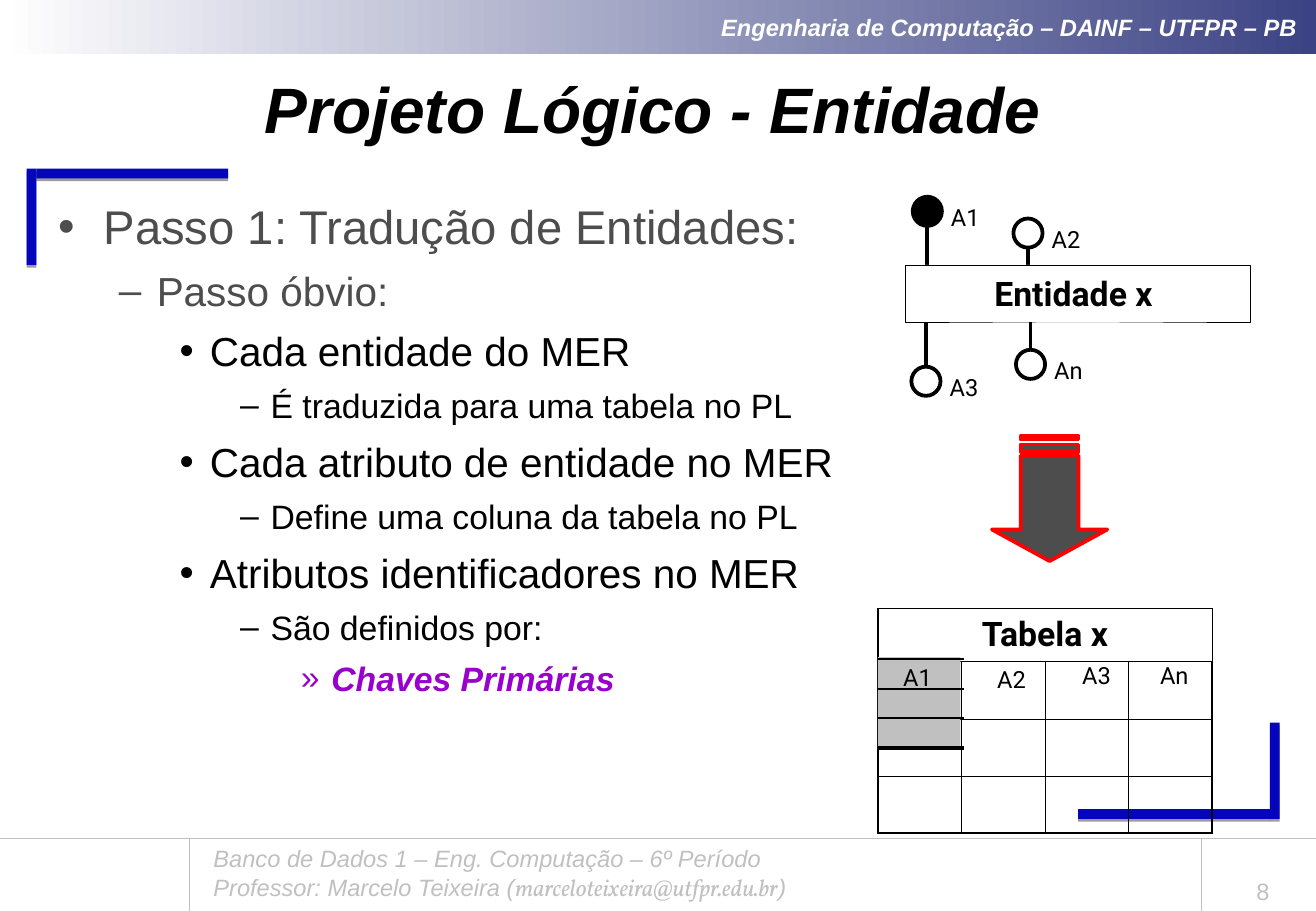
from lxml import etree
from pptx import Presentation
from pptx.dml.color import RGBColor
from pptx.enum import shapes, text
from pptx.oxml import ns
from pptx.util import Pt

SLIDE_WIDTH, SLIDE_HEIGHT = 780.48, 540
BLUE, LIGHT_GRAY, DARK_GRAY, PURPLE = "0505BB", "C0C0C0", "4D4D4D", "9900CC"
BLACK, WHITE, RED = "000000", "FFFFFF", "FF0000"
LEFT, CENTER, RIGHT = text.PP_ALIGN.LEFT, text.PP_ALIGN.CENTER, text.PP_ALIGN.RIGHT
TOP, MIDDLE, BOTTOM = text.MSO_ANCHOR.TOP, text.MSO_ANCHOR.MIDDLE, text.MSO_ANCHOR.BOTTOM
RECTANGLE, OVAL = shapes.MSO_SHAPE.RECTANGLE, shapes.MSO_SHAPE.OVAL

# level: (indent, hanging, bullet, size, space before)
OUTLINE_LEVELS = [
    (27, 27, "•", 28, 0),
    (58.5, 22.5, "–", 24, 7),
    (90, 18, "•", 24, 7),
    (126, 18, "–", 20, 6),
    (162, 18, "»", 20, 6),
]
OUTLINE = [
    (0, "Passo 1: Tradução de Entidades:", DARK_GRAY),
    (1, "Passo óbvio:", DARK_GRAY),
    (2, "Cada entidade do MER", BLACK),
    (3, "É traduzida para uma tabela no PL", BLACK),
    (2, "Cada atributo de entidade no MER", BLACK),
    (3, "Define uma coluna da tabela no PL", BLACK),
    (2, "Atributos identificadores no MER", BLACK),
    (3, "São definidos por:", BLACK),
    (4, "Chaves Primárias", PURPLE),
]


def rgb(color):
    return RGBColor.from_string(color)


def add_element(parent, tag, **attributes):
    return etree.SubElement(parent, ns.qn(tag), {k: str(v) for k, v in attributes.items()})


def write(paragraph, words, size=14, font="Arial", color=BLACK, bold=False, italic=False):
    run = paragraph.add_run()
    run.text = words
    run.font.size, run.font.name = Pt(size), font
    run.font.bold, run.font.italic = bold, italic
    run.font.color.rgb = rgb(color)


def set_frame(frame, inset=(7.2, 3.6, 7.2, 3.6), anchor=TOP, align=LEFT, wrap=True):
    """Prepare a text frame and return its first paragraph."""
    frame.word_wrap, frame.vertical_anchor = wrap, anchor
    (frame.margin_left, frame.margin_top,
     frame.margin_right, frame.margin_bottom) = (Pt(side) for side in inset)
    frame.paragraphs[0].alignment = align
    return frame.paragraphs[0]


def add_box(slide, left, top, width, height):
    return slide.shapes.add_textbox(Pt(left), Pt(top), Pt(width), Pt(height)).text_frame


def style(shape, fill, line=None, line_width=2.25):
    shape.shadow.inherit = False
    shape.fill.solid()
    shape.fill.fore_color.rgb = rgb(fill)
    if line:
        shape.line.color.rgb = rgb(line)
        shape.line.width = Pt(line_width)
    else:
        shape.line.fill.background()
    return shape


def add_shape(slide, kind, left, top, width, height, fill, line=None, line_width=2.25):
    shape = slide.shapes.add_shape(kind, Pt(left), Pt(top), Pt(width), Pt(height))
    return style(shape, fill, line, line_width)


def add_line(slide, x1, y1, x2, y2, color=BLACK, width=2.25):
    line = slide.shapes.add_connector(
        shapes.MSO_CONNECTOR.STRAIGHT, Pt(x1), Pt(y1), Pt(x2), Pt(y2))
    line.line.color.rgb = rgb(color)
    line.line.width = Pt(width)
    add_element(line._element.spPr, "a:effectLst")


def add_label(slide, left, top, words):
    paragraph = set_frame(add_box(slide, left, top, 34, 22), inset=(3, 3, 3, 3), wrap=False)
    write(paragraph, words, font="Roboto")


def add_header(slide, left, top, width, height):
    band = add_shape(slide, RECTANGLE, left, top, width, height, WHITE)
    band.fill.gradient()
    band.fill.gradient_angle = 0
    for stop, color, position in zip(band.fill.gradient_stops, (WHITE, "3C4384"), (0, 1)):
        stop.color.rgb, stop.position = rgb(color), position
    paragraph = set_frame(band.text_frame, (7.2, 3.6, 11, 3.6), MIDDLE, RIGHT)
    write(paragraph, "Engenharia de Computação – DAINF – UTFPR – PB",
          color=WHITE, bold=True, italic=True)


def add_corner(slide, left, top, width, height, at_end):
    """Draw an L bracket at the top left, or at the bottom right when at_end."""
    bar = 5.8
    upright_left = left + width - bar if at_end else left
    beam_left = left if at_end else left + bar
    beam_top = top + height - bar if at_end else top
    for box in ((beam_left, beam_top, width - bar, bar), (upright_left, top, bar, height)):
        shape = add_shape(slide, RECTANGLE, *box, BLUE)
        effects = shape._element.spPr.find(ns.qn("a:effectLst"))
        shadow = add_element(effects, "a:outerShdw", blurRad=0, dist=Pt(1.6),
                             dir=5400000, algn="t", rotWithShape=0)
        add_element(add_element(shadow, "a:srgbClr", val=BLACK), "a:alpha", val=38000)


def add_footer(slide, left, top, width, height):
    for x in (left + 112.3, left + 712.8):
        add_line(slide, x, top, x, top + height, LIGHT_GRAY, 0.75)
    add_line(slide, left, top, left + width, top, LIGHT_GRAY, 0.25)
    frame = add_box(slide, left + 119.5, top, 543, 41)
    faint = dict(color=LIGHT_GRAY, italic=True)
    write(set_frame(frame), "Banco de Dados 1 – Eng. Computação – 6º Período", **faint)
    professor = frame.add_paragraph()
    write(professor, "Professor: Marcelo Teixeira (", **faint)
    write(professor, "marceloteixeira@utfpr.edu.br", font="Vollkorn", **faint)
    write(professor, ")", **faint)
    number = add_box(slide, left + 717.8, top + 15.2, 62.6, 28)
    write(set_frame(number, anchor=BOTTOM, align=CENTER), "8", color=LIGHT_GRAY)


def add_title(slide, left, top, width, height):
    paragraph = set_frame(add_box(slide, left, top, width, height), anchor=MIDDLE, align=CENTER)
    write(paragraph, "Projeto Lógico - Entidade", size=38, bold=True, italic=True)


def add_outline(slide, left, top, width, height):
    frame = add_box(slide, left, top, width, height)
    first = set_frame(frame)
    for index, (level, words, color) in enumerate(OUTLINE):
        paragraph = frame.add_paragraph() if index else first
        indent, hanging, bullet, size, space = OUTLINE_LEVELS[level]
        properties = paragraph._p.get_or_add_pPr()
        properties.set("marL", str(Pt(indent)))
        properties.set("indent", str(-Pt(hanging)))
        add_element(add_element(properties, "a:buClr"), "a:srgbClr", val=color)
        add_element(properties, "a:buFont", typeface="Arial")
        add_element(properties, "a:buChar", char=bullet)
        paragraph.level = level
        paragraph.space_before = Pt(space)
        key = color == PURPLE
        write(paragraph, words, size=size, color=color, bold=key, italic=key)


def add_entity(slide, left, top, width, height):
    """Draw the entity with its attributes; the filled one is the identifier."""
    diameter = 17.3
    attributes = [("A1", 13, -31.7, BLACK), ("A2", 72.7, -18.8, WHITE),
                  ("A3", 12.2, 69, WHITE), ("An", 74.2, 59, WHITE)]
    for name, dx, dy, fill in attributes:
        x, y = left + dx, top + dy
        add_line(slide, x, y, x, top if dy < 0 else top + height)
        add_shape(slide, OVAL, x - diameter / 2, y - diameter / 2, diameter, diameter,
                  fill, BLACK)
        add_label(slide, x + 11, y - 8, name)
    entity = add_shape(slide, RECTANGLE, left, top, width, height, WHITE, BLACK, 0.25)
    paragraph = set_frame(entity.text_frame, (3, 3, 8, 3), MIDDLE, CENTER, wrap=False)
    write(paragraph, "Entidade x", size=20, font="Roboto", bold=True)


def add_striped_arrow(slide, left, top, width, height):
    middle, right, bottom = left + width / 2, left + width, top + height
    inner_left, inner_right = left + width / 4, right - width / 4
    neck = bottom - 18.7

    def bar(start, end):
        return [(inner_left, start), (inner_right, start), (inner_right, end), (inner_left, end)]

    head = [(inner_left, top + 11.5), (inner_right, top + 11.5), (inner_right, neck),
            (right, neck), (middle, bottom), (left, neck), (inner_left, neck)]
    contours = [[(Pt(x), Pt(y)) for x, y in contour]
                for contour in (head, bar(top + 5, top + 9.3), bar(top, top + 2.1))]
    builder = slide.shapes.build_freeform(*contours[0][0])
    builder.add_line_segments(contours[0][1:], close=True)
    for contour in contours[1:]:
        builder.move_to(*contour[0])
        builder.add_line_segments(contour[1:], close=True)
    style(builder.convert_to_shape(), DARK_GRAY, RED)


def set_cell(cell, outer_sides):
    cell.fill.background()
    cell.margin_left = cell.margin_right = Pt(3)
    cell.vertical_anchor = MIDDLE
    properties = cell._tc.get_or_add_tcPr()
    for index, side in enumerate("LRTB"):
        width = 1.08 if side in outer_sides else 0.45
        border = etree.Element(ns.qn(f"a:ln{side}"), w=str(Pt(width)))
        add_element(add_element(border, "a:solidFill"), "a:srgbClr", val=BLACK)
        properties.insert(index, border)


def add_entity_table(slide, left, top, width, height):
    rows, columns, title_height = 4, 4, 31.5
    table = slide.shapes.add_table(
        rows, columns, Pt(left), Pt(top), Pt(width), Pt(height)).table
    table.first_row = table.horz_banding = False
    for column in table.columns:
        column.width = Pt(width / columns)
    for r, row in enumerate(table.rows):
        row.height = Pt((height - title_height) / (rows - 1) if r else title_height)
        for c, cell in enumerate(row.cells):
            edges = {"L": c == 0, "R": c == columns - 1, "T": r == 0, "B": r == rows - 1}
            set_cell(cell, [side for side, outer in edges.items() if outer])
    title = table.cell(0, 0)
    title.merge(table.cell(0, columns - 1))
    paragraph = title.text_frame.paragraphs[0]
    paragraph.alignment = CENTER
    write(paragraph, "Tabela x", size=20, font="Roboto", bold=True)

    add_shape(slide, RECTANGLE, left, top + 28.8, 49, 54.7, LIGHT_GRAY)
    for name, dx, dy in (("A1", 12, 29), ("A2", 67.8, 30.3), ("A3", 118.2, 28.2), ("An", 164.4, 28.2)):
        add_label(slide, left + dx, top + dy, name)
    for dy, thickness in ((30, 1), (47.5, 1), (65, 1), (82.8, 2.25)):
        add_line(slide, left, top + dy, left + 51, top + dy, BLACK, thickness)


def main():
    presentation = Presentation()
    presentation.slide_width, presentation.slide_height = Pt(SLIDE_WIDTH), Pt(SLIDE_HEIGHT)
    slide = presentation.slides.add_slide(presentation.slide_layouts[6])
    add_header(slide, 1, 0, SLIDE_WIDTH - 1, 32)
    add_corner(slide, 639.4, 428.4, 119.5, 57, at_end=True)
    add_corner(slide, 15.8, 100, 119.5, 57, at_end=False)
    add_footer(slide, 0, 496.8, SLIDE_WIDTH, 43.2)
    add_title(slide, 15.8, 39, 743, 49.7)
    add_outline(slide, 27.4, 113.5, 720, 360)
    add_entity(slide, 537, 157, 204.5, 33.8)
    add_striped_arrow(slide, 588.3, 258.5, 68.4, 74.1)
    add_entity_table(slide, 520.6, 360.8, 198.4, 133.2)
    presentation.save("out.pptx")


if __name__ == "__main__":
    main()
